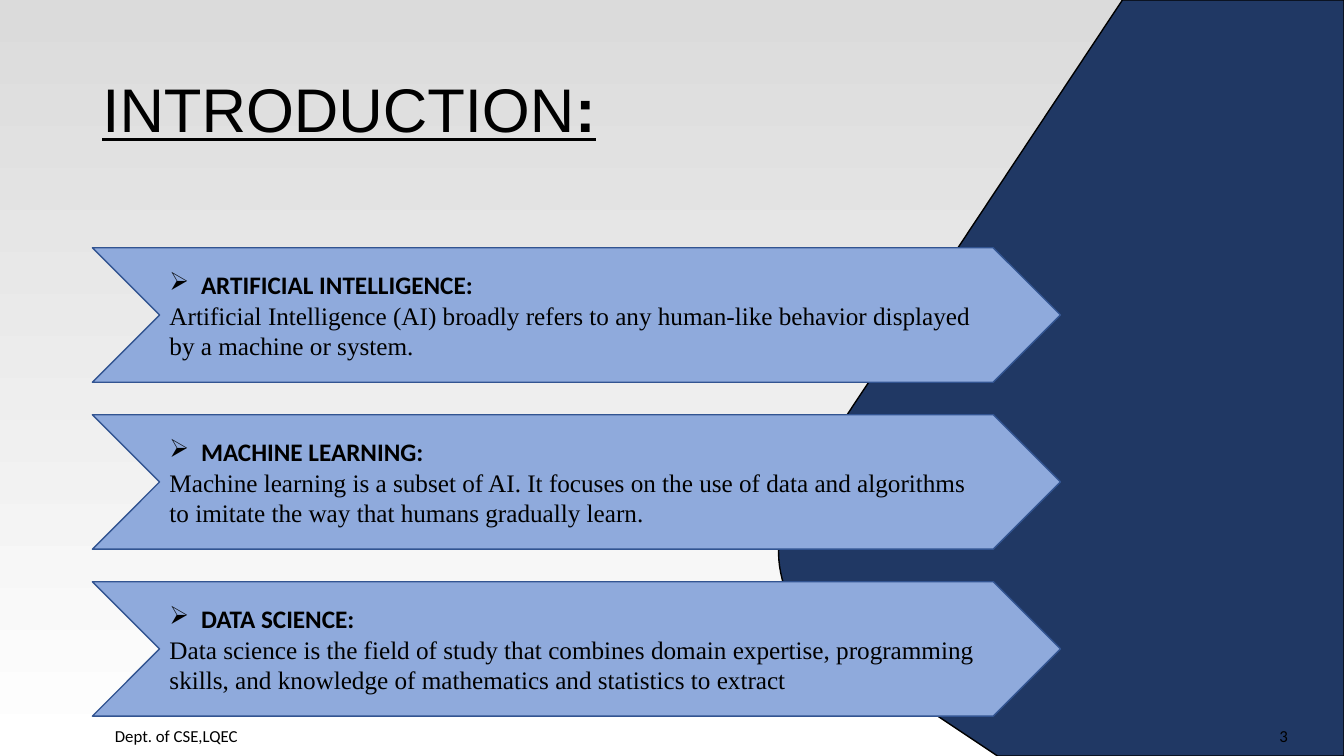
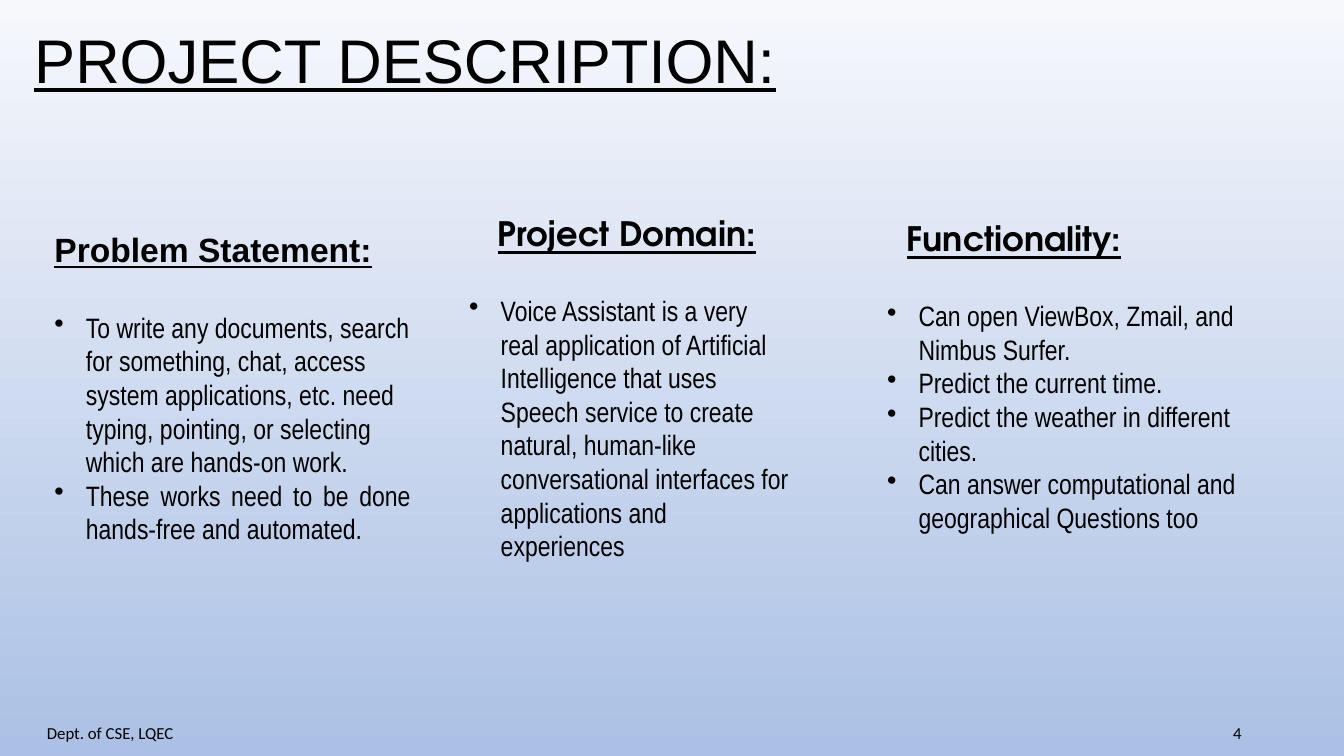
from lxml import etree
from pptx import Presentation
from pptx.dml.color import RGBColor
from pptx.enum.shapes import MSO_SHAPE
from pptx.enum.text import MSO_ANCHOR, MSO_AUTO_SIZE, PP_ALIGN
from pptx.oxml.ns import qn
from pptx.util import Pt

CHEVRON, ROUNDED = MSO_SHAPE.CHEVRON, MSO_SHAPE.ROUNDED_RECTANGLE
TOP, MIDDLE = MSO_ANCHOR.TOP, MSO_ANCHOR.MIDDLE
LEFT, CENTER, RIGHT, JUSTIFY = PP_ALIGN.LEFT, PP_ALIGN.CENTER, PP_ALIGN.RIGHT, PP_ALIGN.JUSTIFY
NO_FIT = MSO_AUTO_SIZE.NONE

EMU_PER_PX = 9525
PAGE_WIDTH, PAGE_HEIGHT = 1280, 720
TITLE_ONLY = 5
BULLET_INDENT = 30

COLORS = {
    "ink": "000000",
    "navy": "203864",
    "banner": "8FAADC",
    "banner_edge": "325491",
    "grey_top": "DBDBDB",
    "grey_bottom": "FFFFFF",
    "blue_top": "F6F8FC",
    "blue_bottom": "ABC0E4",
}

FORMATS = {
    "title": {"name": "Arial", "size": Pt(44), "underline": True, "bold": False},
    "title_mark": {"name": "Arial", "size": Pt(44), "underline": True, "bold": True},
    "banner_head": {"name": "Calibri", "size": Pt(18), "bold": True},
    "banner_body": {"name": "Times New Roman", "size": Pt(18)},
    "head_plain": {"name": "Arial", "size": Pt(24), "bold": True, "underline": True},
    "head_round": {"name": "TeX Gyre Adventor", "size": Pt(24), "bold": True, "underline": True},
    "point": {"name": "Arial Narrow", "size": Pt(20)},
    "footer": {"name": "Calibri", "size": Pt(12)},
}

BANNERS = [
    ("ARTIFICIAL INTELLIGENCE:",
     "Artificial Intelligence (AI) broadly refers to any human-like behavior displayed "
     "by a machine or system."),
    ("MACHINE LEARNING:",
     "Machine learning is a subset of AI. It focuses on the use of data and algorithms "
     "to imitate the way that humans gradually learn."),
    ("DATA SCIENCE:",
     "Data science is the field of study that combines domain expertise, programming "
     "skills, and knowledge of mathematics and statistics to extract"),
]

COLUMNS = [
    ((23, 100, 397, 538), "Problem Statement:", "head_plain", 0, [
        ("To write any documents, search for something, chat, access system applications, "
         "etc. need typing, pointing, or selecting which are hands-on work.", LEFT),
        ("These works need to be done hands-free and automated.", JUSTIFY),
    ]),
    ((420, 100, 358, 538), "Project Domain:", "head_round", 27, [
        ("Voice Assistant is a very real application of Artificial Intelligence that uses "
         "Speech service to create natural, human-like conversational interfaces for "
         "applications and experiences", LEFT),
    ]),
    ((815, 89, 418, 538), "Functionality:", "head_round", 19, [
        ("Can open ViewBox, Zmail, and Nimbus Surfer.", LEFT),
        ("Predict the current time.", LEFT),
        ("Predict the weather in different cities.", LEFT),
        ("Can answer computational and geographical Questions too", LEFT),
    ]),
]


def px(length):
    return round(length * EMU_PER_PX)


def emu_box(box):
    return [px(length) for length in box]


def color(name):
    return RGBColor.from_string(COLORS[name])


def add_span(para, text, style):
    span = para.add_run()
    span.text = text
    for name, value in FORMATS[style].items():
        setattr(span.font, name, value)
    span.font.color.rgb = color("ink")


def add_para(frame, text, style, align=LEFT, indent=0, bullet=None):
    first = frame.paragraphs[0]
    para = frame.add_paragraph() if first.runs else first
    para.alignment = align
    add_span(para, text, style)
    props = para._p.get_or_add_pPr()
    if bullet:
        props.set("marL", str(px(BULLET_INDENT)))
        props.set("indent", str(-px(BULLET_INDENT)))
        etree.SubElement(props, qn("a:buChar")).set("char", bullet)
    elif indent:
        props.set("marL", str(px(indent)))
    return para


def set_background(page, top, bottom):
    fill = page.background.fill
    fill.gradient()
    fill.gradient_angle = 270
    for stop, name in zip(fill.gradient_stops, (top, bottom)):
        stop.color.rgb = color(name)


def set_title(page, box, spans, anchor, spacing):
    title = page.shapes.title
    title.left, title.top, title.width, title.height = emu_box(box)
    frame = title.text_frame
    frame.word_wrap = True
    frame.auto_size = NO_FIT
    frame.vertical_anchor = anchor
    para = frame.paragraphs[0]
    para.alignment = LEFT
    para.line_spacing = spacing
    for text, style in spans:
        add_span(para, text, style)


def add_label(page, box, text, align):
    label = page.shapes.add_textbox(*emu_box(box))
    frame = label.text_frame
    frame.word_wrap = True
    frame.vertical_anchor = MIDDLE
    add_para(frame, text, "footer", align)


def add_footer(page, top, label_left, label, number_left, number):
    add_label(page, (label_left, top, 432, 38), label, CENTER)
    add_label(page, (number_left, top, 288, 38), number, RIGHT)


def paint(shape, fill, edge):
    shape.shadow.inherit = False
    shape.fill.solid()
    shape.fill.fore_color.rgb = color(fill)
    shape.line.color.rgb = color(edge)
    shape.line.width = Pt(1)


def curve_points(start, pull_a, pull_b, end, steps=24):
    for step in range(1, steps + 1):
        t = step / steps
        weights = ((1 - t) ** 3, 3 * t * (1 - t) ** 2, 3 * t * t * (1 - t), t ** 3)
        knots = (start, pull_a, pull_b, end)
        yield tuple(sum(w * knot[axis] for w, knot in zip(weights, knots)) for axis in (0, 1))


def add_side_panel(page, box):
    left, top, width, height = box
    bend = (46, 612)
    corners = [(width, 0), (width, height), (208, height), bend]
    corners += curve_points(bend, (-2, 580), (-15, 515), (17, 467))
    builder = page.shapes.build_freeform(px(left + 327), px(top))
    builder.add_line_segments([(px(left + x), px(top + y)) for x, y in corners], close=True)
    paint(builder.convert_to_shape(), "navy", "ink")


def add_banner(page, box, head, body):
    banner = page.shapes.add_shape(CHEVRON, *emu_box(box))
    paint(banner, "banner", "banner_edge")
    frame = banner.text_frame
    frame.word_wrap = True
    frame.vertical_anchor = MIDDLE
    add_para(frame, head, "banner_head", bullet="➢")
    add_para(frame, body, "banner_body")


def add_column(page, box, head, head_style, head_indent, points):
    column = page.shapes.add_shape(ROUNDED, *emu_box(box))
    column.shadow.inherit = False
    column.fill.background()
    column.line.fill.background()
    frame = column.text_frame
    frame.word_wrap = True
    frame.vertical_anchor = MIDDLE
    heading = add_para(frame, head, head_style, indent=head_indent)
    heading.space_after = Pt(29)
    for text, align in points:
        add_para(frame, text, "point", align, bullet="•")


def build_introduction(deck):
    page = deck.slides.add_slide(deck.slide_layouts[TITLE_ONLY])
    set_background(page, "grey_top", "grey_bottom")
    spans = [("INTRODUCTION", "title"), (":", "title_mark")]
    set_title(page, (88, 38, 1104, 139), spans, MIDDLE, 0.9)
    add_side_panel(page, (742, 0, PAGE_WIDTH - 742, PAGE_HEIGHT))
    for index, (head, body) in enumerate(BANNERS):
        add_banner(page, (88, 236 + 159 * index, 922, 128), head, body)
    add_footer(page, 682, -48, "Dept. of CSE,LQEC", 948, "3")


def build_description(deck):
    page = deck.slides.add_slide(deck.slide_layouts[TITLE_ONLY])
    set_background(page, "blue_top", "blue_bottom")
    set_title(page, (23, 16, 1233, 81), [("PROJECT DESCRIPTION:", "title")], TOP, 1.0)
    for column in COLUMNS:
        add_column(page, *column)
    add_footer(page, 679, -111, "Dept. of CSE, LQEC", 904, "4")


def main():
    deck = Presentation()
    deck.slide_width, deck.slide_height = px(PAGE_WIDTH), px(PAGE_HEIGHT)
    build_introduction(deck)
    build_description(deck)
    deck.save("out.pptx")


if __name__ == "__main__":
    main()
